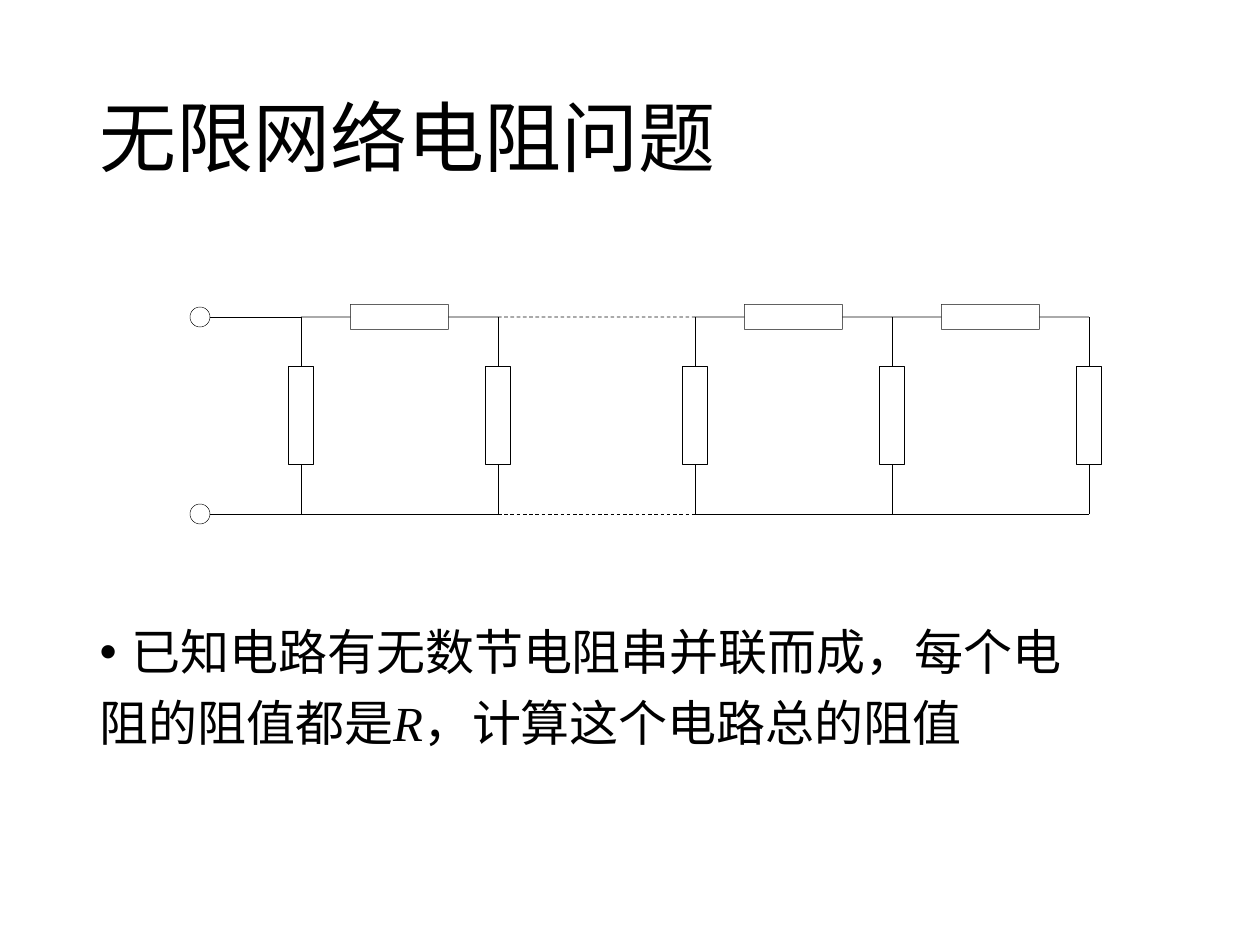
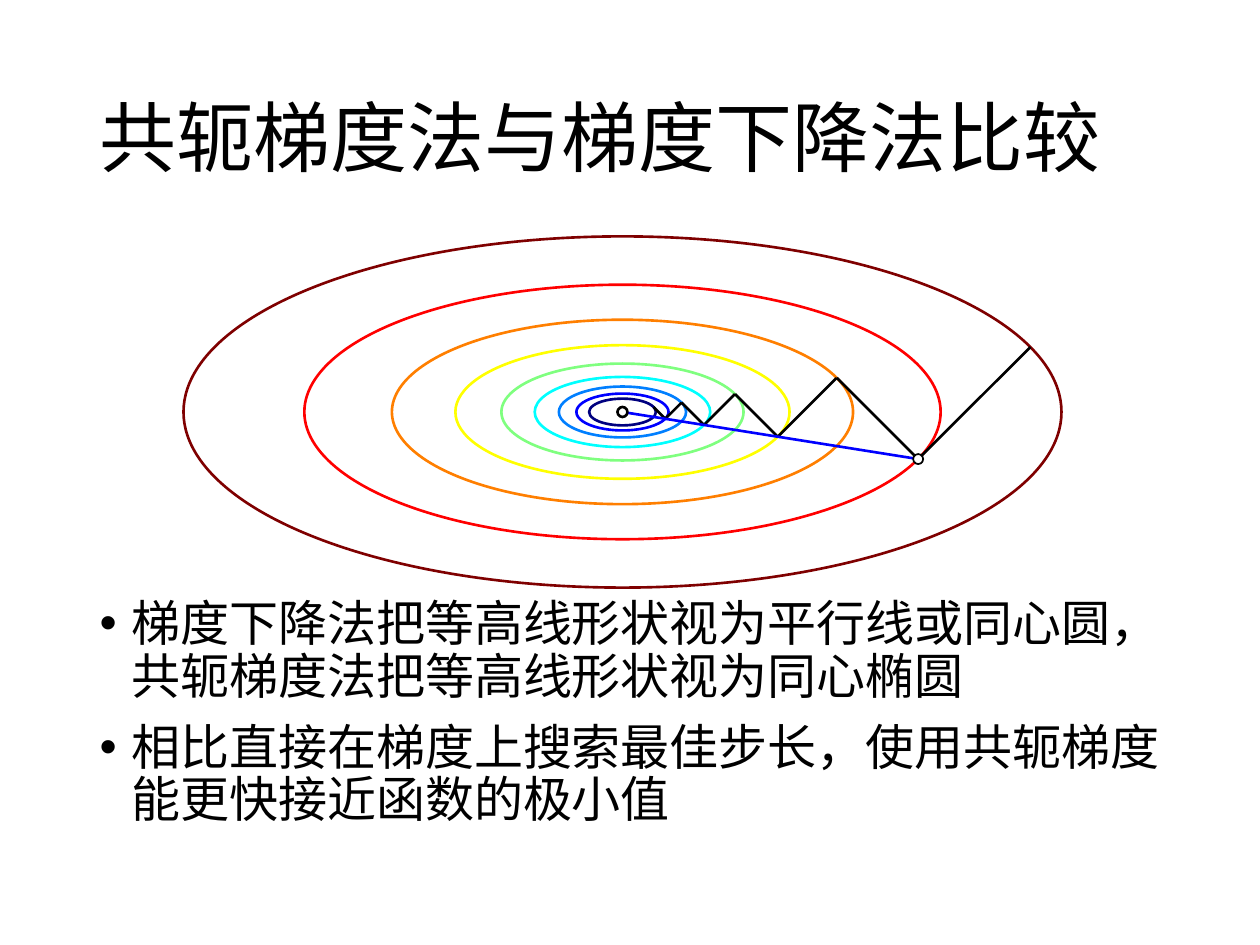
from lxml.etree import SubElement
from pptx import Presentation
from pptx.dml.color import RGBColor
from pptx.enum.dml import MSO_LINE
from pptx.enum.shapes import MSO_CONNECTOR, MSO_SHAPE
from pptx.enum.text import MSO_ANCHOR, MSO_AUTO_SIZE, PP_ALIGN
from pptx.oxml.ns import qn
from pptx.util import Emu, Pt

COLORS = {"black": "000000", "white": "FFFFFF", "blue": "0000FF"}
CONTOUR_COLORS = ["7F0000", "FF0000", "FF7F00", "FFFF00", "7FFF7F",
                  "00FFFF", "007FFF", "0000FF", "00007F"]
CJK_FONT, LATIN_FONT = "Noto Sans CJK SC", "Times New Roman"
PX_PER_INCH = 126
SLIDE_SIZE = (1260, 945)
TITLE_BOX = (87, 50, 1086, 183)
INDENT = 32

# Each paragraph is (bulleted, [(text, italic), ...]).
CIRCUIT = {
    "title": "无限网络电阻问题",
    "body_box": (87, 622, 1086, 176),
    "font": LATIN_FONT,
    "paragraphs": [
        (True, [("已知电路有无数节电阻串并联而成，每个电", False)]),
        (False, [("阻的阻值都是", False), ("R", True),
                 ("，计算这个电路总的阻值", False)]),
    ],
}
COMPARISON = {
    "title": "共轭梯度法与梯度下降法比较",
    "body_box": (87, 593, 1086, 258),
    "font": CJK_FONT,
    "paragraphs": [
        (True, [("梯度下降法把等高线形状视为平行线或同心圆，"
                 "共轭梯度法把等高线形状视为同心椭圆", False)]),
        (True, [("相比直接在梯度上搜索最佳步长，"
                 "使用共轭梯度能更快接近函数的极小值", False)]),
    ],
}

TERMINAL_X, FIRST_BRANCH_X, BRANCH_GAP, BRANCHES = 200, 301, 197, 5
TOP_RAIL, BOTTOM_RAIL = 317, 514
DASHED_SECTION = 1
RESISTOR_LENGTH, RESISTOR_WIDTH, TERMINAL_SIZE = 98, 25, 20
RAIL_ALPHA = 94

CENTER = (622.5, 412)
OUTER_WIDTH, ASPECT, SHRINK = 878, 0.4, 0.7247
START_OFFSET = (408, -65)
MARKER_SIZE = 10


def px(value):
    return Emu(round(value * 914400 / PX_PER_INCH))


def rgb(color):
    return RGBColor.from_string(color)


def style_line(line, color, width, alpha=100):
    line.color.rgb = rgb(color)
    line.width = Pt(width)
    if alpha < 100:
        fill_color = line._ln.find(".//" + qn("a:srgbClr"))
        SubElement(fill_color, qn("a:alpha"), val=str(alpha * 1000))


def add_line(group, start, end, color, width, dashed=False, alpha=100):
    connector = group.shapes.add_connector(
        MSO_CONNECTOR.STRAIGHT, *map(px, (*start, *end)))
    style_line(connector.line, color, width, alpha)
    if dashed:
        connector.line.dash_style = MSO_LINE.DASH
    SubElement(connector._element.spPr, qn("a:effectLst"))


def add_centered(group, kind, center, size, color, width, fill=None, alpha=100):
    left, top = (c - s / 2 for c, s in zip(center, size))
    shape = group.shapes.add_shape(kind, *map(px, (left, top, *size)))
    shape.shadow.inherit = False
    if fill:
        shape.fill.solid()
        shape.fill.fore_color.rgb = rgb(fill)
    else:
        shape.fill.background()
    style_line(shape.line, color, width, alpha)


def add_run(paragraph, text, font_name, size, italic=False):
    run = paragraph.add_run()
    run.text = text
    run.font.size = Pt(size)
    run.font.italic = italic
    run.font.color.rgb = rgb(COLORS["black"])
    run.font.name = font_name
    SubElement(run.font._element, qn("a:ea"), typeface=CJK_FONT)


def place(placeholder, box, anchor):
    placeholder.left, placeholder.top, placeholder.width, placeholder.height = map(px, box)
    frame = placeholder.text_frame
    frame.word_wrap = True
    frame.auto_size = MSO_AUTO_SIZE.NONE
    frame.vertical_anchor = anchor
    return frame


def format_paragraph(paragraph, space_before):
    paragraph.alignment = PP_ALIGN.LEFT
    paragraph.line_spacing = 0.9
    paragraph.space_before = Pt(space_before)


def set_bullet(paragraph, bulleted):
    properties = paragraph._p.get_or_add_pPr()
    indent = px(INDENT) if bulleted else 0
    properties.set("marL", str(indent))
    properties.set("indent", str(-indent))
    if bulleted:
        SubElement(properties, qn("a:buChar"), char="•")
    else:
        SubElement(properties, qn("a:buNone"))


def add_slide(presentation, content):
    slide = presentation.slides.add_slide(presentation.slide_layouts[1])
    title = place(slide.shapes.title, TITLE_BOX, MSO_ANCHOR.MIDDLE).paragraphs[0]
    format_paragraph(title, 0)
    add_run(title, content["title"], CJK_FONT, 44)

    body = place(slide.placeholders[1], content["body_box"], MSO_ANCHOR.TOP)
    for index, (bulleted, runs) in enumerate(content["paragraphs"]):
        paragraph = body.add_paragraph() if index else body.paragraphs[0]
        set_bullet(paragraph, bulleted)
        format_paragraph(paragraph, 10 if index else 0)
        for text, italic in runs:
            add_run(paragraph, text, content["font"], 28, italic)
    return slide


def draw_circuit(slide):
    group = slide.shapes.add_group_shape()
    black, white = COLORS["black"], COLORS["white"]
    branches = [FIRST_BRANCH_X + BRANCH_GAP * i for i in range(BRANCHES)]
    sections = list(zip(branches, branches[1:]))

    for rail, alpha in ((TOP_RAIL, RAIL_ALPHA), (BOTTOM_RAIL, 100)):
        add_line(group, (TERMINAL_X, rail), (FIRST_BRANCH_X, rail), black, 0.5)
        add_centered(group, MSO_SHAPE.OVAL, (TERMINAL_X, rail),
                     (TERMINAL_SIZE, TERMINAL_SIZE), black, 0.25, white)
        for index, (left, right) in enumerate(sections):
            add_line(group, (left, rail), (right, rail), black, 0.5,
                     index == DASHED_SECTION, alpha)

    for index, (left, right) in enumerate(sections):
        if index != DASHED_SECTION:
            add_centered(group, MSO_SHAPE.RECTANGLE, ((left + right) / 2, TOP_RAIL),
                         (RESISTOR_LENGTH, RESISTOR_WIDTH), black, 0.25, white, RAIL_ALPHA)
    for x in branches:
        add_line(group, (x, TOP_RAIL), (x, BOTTOM_RAIL), black, 0.5)
        add_centered(group, MSO_SHAPE.RECTANGLE, (x, (TOP_RAIL + BOTTOM_RAIL) / 2),
                     (RESISTOR_WIDTH, RESISTOR_LENGTH), black, 0.25, white)


def draw_descent(slide):
    group = slide.shapes.add_group_shape()
    black, white = COLORS["black"], COLORS["white"]
    steps = []
    for index, color in enumerate(CONTOUR_COLORS):
        scale = SHRINK ** index
        width = OUTER_WIDTH * scale
        add_centered(group, MSO_SHAPE.OVAL, CENTER, (width, width * ASPECT), color, 1.5)
        steps.append((CENTER[0] + START_OFFSET[0] * scale,
                      CENTER[1] + START_OFFSET[1] * scale * (-1) ** index))

    for start, end in zip(steps, steps[1:]):
        add_line(group, start, end, black, 1.5)
    add_line(group, steps[1], CENTER, COLORS["blue"], 1.5)
    for point, width in ((CENTER, 1.5), (steps[1], 1)):
        add_centered(group, MSO_SHAPE.OVAL, point, (MARKER_SIZE, MARKER_SIZE),
                     black, width, white)


def main():
    presentation = Presentation()
    presentation.slide_width, presentation.slide_height = map(px, SLIDE_SIZE)
    draw_circuit(add_slide(presentation, CIRCUIT))
    draw_descent(add_slide(presentation, COMPARISON))
    presentation.save("out.pptx")


if __name__ == "__main__":
    main()
